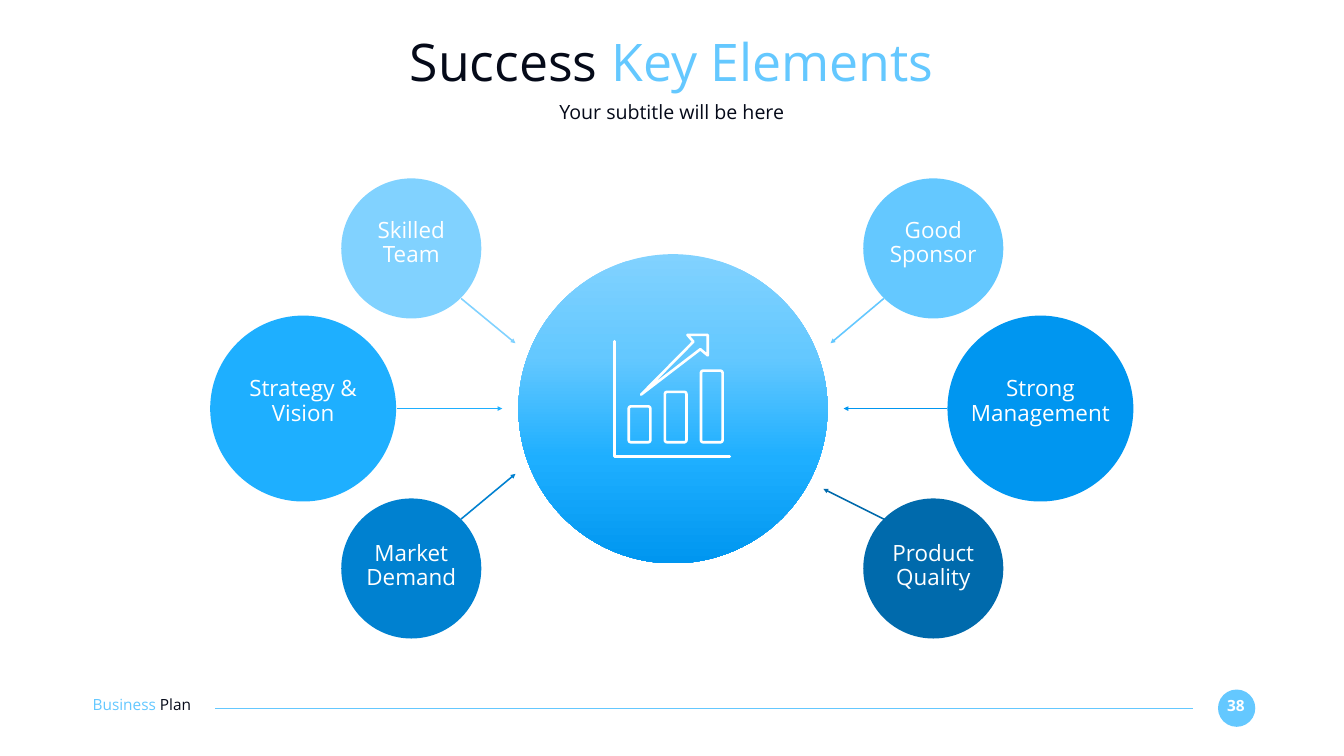
import dataclasses

import pptx
import pptx.dml.color
import pptx.enum.shapes
import pptx.enum.text
import pptx.oxml.ns
import pptx.oxml.xmlchemy
import pptx.util
from lxml import etree

Cm = pptx.util.Cm
Pt = pptx.util.Pt
qn = pptx.oxml.ns.qn
SHAPE = pptx.enum.shapes.MSO_SHAPE
ALIGN = pptx.enum.text.PP_ALIGN


@dataclasses.dataclass(frozen=True)
class Theme:
    font: str = "Open Sans"
    ink: str = "050A19"
    white: str = "FFFFFF"
    pale: str = "81D2FF"
    sky: str = "64C8FF"
    azure: str = "1EAFFF"
    blue: str = "0096F0"
    deep: str = "0081D0"
    navy: str = "006AAC"
    title: int = 74
    subtitle: int = 28
    label: int = 32
    footer: int = 22
    line_spacing: float = 0.9
    rule_width: float = 1.5
    arrow_width: float = 2.25
    icon_width: float = 3.75


THEME = Theme()

SMALL, LARGE = 7.06, 9.37  # circle diameters
LABEL_HEIGHT = 2.74

# Label lines, colour, circle centre, diameter, label width and centre height,
# arrow start, arrow end
ELEMENTS = [
    (["Skilled Team"], THEME.pale, (20.73, 12.52), SMALL, 5.66, 12.4,
     (23.24, 15.04), (25.98, 17.3)),
    (["Strategy & Vision"], THEME.azure, (15.28, 20.59), LARGE, 5.66, 20.4,
     (19.99, 20.59), (25.32, 20.59)),
    (["Market Demand"], THEME.deep, (20.73, 28.65), SMALL, 5.66, 28.68,
     (23.24, 26.16), (25.98, 23.88)),
    (["Good Sponsor"], THEME.sky, (47.04, 12.52), SMALL, 5.66, 12.4,
     (44.55, 15.04), (41.86, 17.3)),
    (["Strong", "Management"], THEME.blue, (52.44, 20.59), LARGE, 7.39, 20.4,
     (47.75, 20.59), (42.52, 20.59)),
    (["Product Quality"], THEME.navy, (47.04, 28.65), SMALL, 5.66, 28.68,
     (44.55, 26.16), (41.5, 24.64)),
]


def rgb(colour):
    return pptx.dml.color.RGBColor.from_string(colour)


def add_circle(slide, centre, diameter, colour):
    x, y = centre
    circle = slide.shapes.add_shape(
        SHAPE.OVAL, Cm(x - diameter / 2), Cm(y - diameter / 2),
        Cm(diameter), Cm(diameter))
    circle.shadow.inherit = False
    circle.fill.solid()
    circle.fill.fore_color.rgb = rgb(colour)
    circle.line.fill.background()
    return circle


def fill_gradient(shape, stops):
    shape.fill.gradient()
    shape.fill.gradient_angle = 270
    stop_list = shape._element.spPr.find(".//" + qn("a:gsLst"))
    stop_list.clear()
    for percent, colour in stops:
        stop = etree.SubElement(stop_list, qn("a:gs"), pos=str(percent * 1000))
        etree.SubElement(stop, qn("a:srgbClr"), val=colour)


def add_text(slide, box, paragraphs, size, align=ALIGN.CENTER, bold=False):
    """Each paragraph is a list of (wording, colour) runs."""
    frame = slide.shapes.add_textbox(*map(Cm, box)).text_frame
    frame.word_wrap = True
    frame.margin_left = frame.margin_right = 0
    frame.margin_top = frame.margin_bottom = 0
    for index, runs in enumerate(paragraphs):
        paragraph = frame.add_paragraph() if index else frame.paragraphs[0]
        paragraph.alignment = align
        paragraph.line_spacing = THEME.line_spacing
        for wording, colour in runs:
            run = paragraph.add_run()
            run.text = wording
            run.font.name = THEME.font
            run.font.size = Pt(size)
            run.font.bold = bold
            run.font.color.rgb = rgb(colour)


def add_line(slide, start, end, colour, width, arrow=False):
    line = slide.shapes.add_connector(
        pptx.enum.shapes.MSO_CONNECTOR.STRAIGHT, *map(Cm, start + end))
    line.line.color.rgb = rgb(colour)
    line.line.width = Pt(width)
    if arrow:
        etree.SubElement(line.line._get_or_add_ln(), qn("a:tailEnd"), type="triangle")
    etree.SubElement(line._element.spPr, qn("a:effectLst"))


def outline_white(shape):
    shape.shadow.inherit = False
    shape.fill.background()
    shape.line.color.rgb = rgb(THEME.white)
    shape.line.width = Pt(THEME.icon_width)
    stroke = shape.line._get_or_add_ln()
    stroke.set("cap", "rnd")
    etree.SubElement(stroke, qn("a:round"))


def add_outline(slide, points, close):
    corners = [(Cm(x), Cm(y)) for x, y in points]
    builder = slide.shapes.build_freeform(*corners[0])
    builder.add_line_segments(corners[1:], close=close)
    outline_white(builder.convert_to_shape())


def add_growth_icon(slide):
    # Axes
    add_outline(slide, [(30.98, 17.2), (30.98, 23), (36.78, 23)], close=False)
    # Bars
    first_left, pitch, width, base = 31.69, 1.82, 1.09, 22.29
    for index, top in enumerate([20.48, 19.75, 18.68]):
        bar = slide.shapes.add_shape(
            SHAPE.ROUNDED_RECTANGLE, Cm(first_left + index * pitch), Cm(top),
            Cm(width), Cm(base - top))
        bar.adjustments[0] = 0.1
        outline_white(bar)
    # Rising arrow
    add_outline(slide, [(32.31, 19.89), (34.95, 17.22), (34.65, 16.88),
                        (35.67, 16.88), (35.67, 17.91), (35.3, 17.6)], close=True)


def add_footer(slide):
    add_circle(slide, (62.33, 35.69), 1.88, THEME.sky)
    add_text(slide, (61.54, 35.18, 1.5, 0.94), [[("38", THEME.white)]],
             THEME.footer, bold=True)
    add_line(slide, (60.12, 35.69), (10.85, 35.69), THEME.sky, THEME.rule_width)
    add_text(slide, (4.67, 35.15, 6.58, 0.94),
             [[("Business ", THEME.sky), ("Plan", THEME.ink)]],
             THEME.footer, align=ALIGN.LEFT)


def add_heading(slide):
    add_text(slide, (4.65, 1.85, 58.42, 3.23),
             [[("Success ", THEME.ink), ("Key Elements", THEME.sky)]], THEME.title)
    add_text(slide, (4.65, 5.16, 58.42, 1.24),
             [[("Your subtitle will be here", THEME.ink)]], THEME.subtitle)


def add_element(slide, lines, colour, centre, diameter, width, label_y, start, end):
    add_circle(slide, centre, diameter, colour)
    add_line(slide, start, end, colour, THEME.arrow_width, arrow=True)
    box = (centre[0] - width / 2, label_y - LABEL_HEIGHT / 2, width, LABEL_HEIGHT)
    add_text(slide, box, [[(line, THEME.white)] for line in lines], THEME.label)


def main():
    deck = pptx.Presentation()
    deck.slide_width, deck.slide_height = Cm(67.74), Cm(38.1)
    slide = deck.slides.add_slide(deck.slide_layouts[6])

    add_footer(slide)
    add_heading(slide)

    # Surrounding elements
    for element in ELEMENTS:
        add_element(slide, *element)

    # Central hub
    hub = add_circle(slide, (33.92, 20.6), 15.58, THEME.blue)
    fill_gradient(hub, [(0, THEME.pale), (33, THEME.sky),
                        (66, THEME.azure), (100, THEME.blue)])
    add_growth_icon(slide)

    deck.save("out.pptx")


if __name__ == "__main__":
    main()
